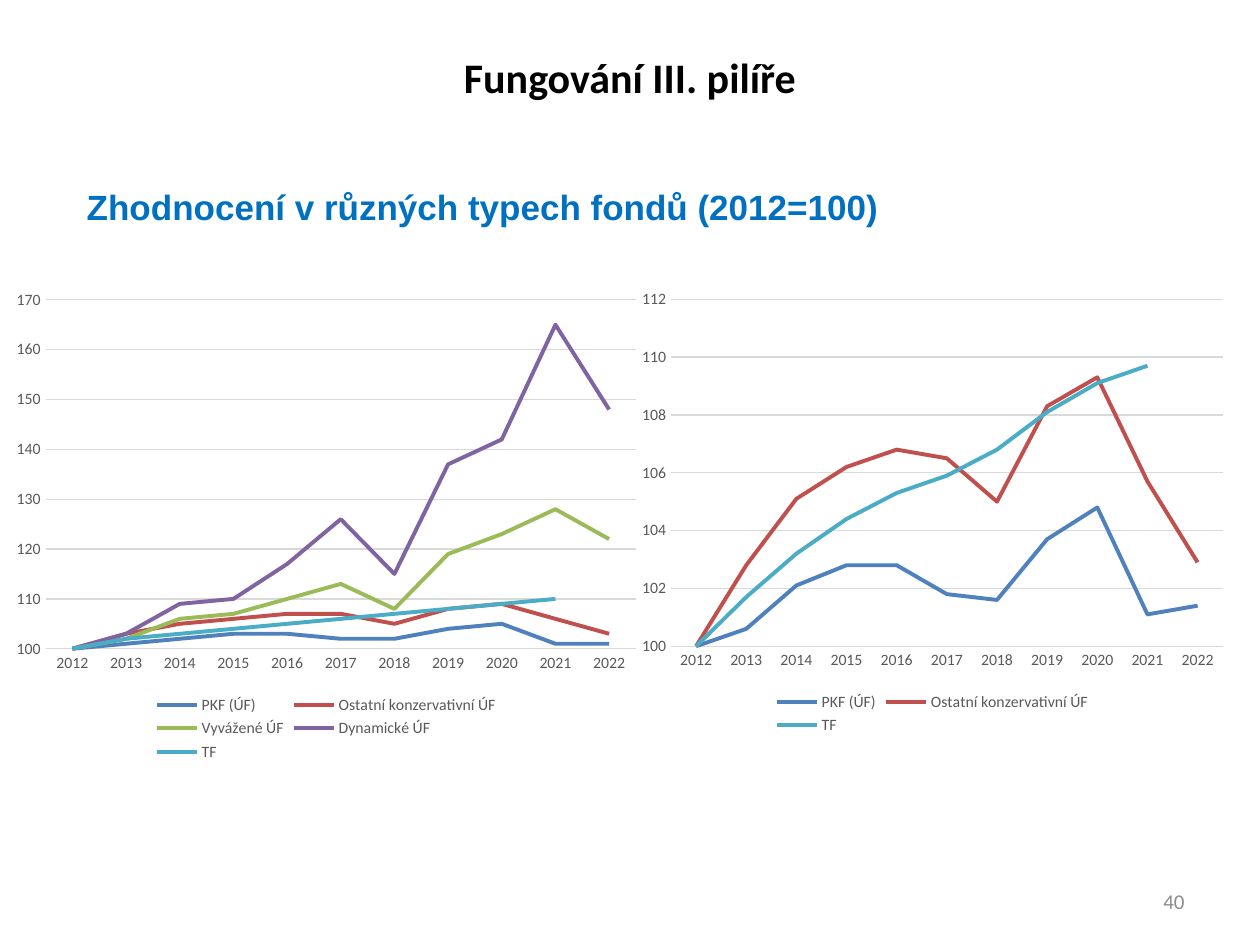
"""Build the slide comparing pension fund returns in two line charts."""
from math import floor

from pptx import Presentation
from pptx.chart.data import CategoryChartData
from pptx.dml.color import RGBColor as RGB
from pptx.enum.chart import XL_CHART_TYPE as CT, XL_LEGEND_POSITION as LP
from pptx.enum.chart import XL_MARKER_STYLE as MS, XL_TICK_MARK as TM
from pptx.enum.text import MSO_ANCHOR as ANCHOR, PP_ALIGN as ALIGN
from pptx.util import Inches, Pt

TITLE = "Fungování III. pilíře"
SUBTITLE = "Zhodnocení v různých typech fondů (2012=100)"
NUMBER = "40"
YEARS = [str(year) for year in range(2012, 2023)]
FUNDS = {
    "PKF (ÚF)": ("4F81BD", [100, 100.6, 102.1, 102.8, 102.8, 101.8, 101.6, 103.7, 104.8, 101.1, 101.4]),
    "Ostatní konzervativní ÚF": ("C0504D", [100, 102.8, 105.1, 106.2, 106.8, 106.5, 105, 108.3, 109.3, 105.7, 102.9]),
    "Vyvážené ÚF": ("9BBB59", [100, 102, 106, 107, 110, 113, 108, 119, 123, 128, 122]),
    "Dynamické ÚF": ("8064A2", [100, 103, 109, 110, 117, 126, 115, 137, 142, 165, 148]),
    "TF": ("4BACC6", [100, 101.7, 103.2, 104.4, 105.3, 105.9, 106.8, 108.1, 109.1, 109.7, None]),
}
CHARTS = [
    {"box": (0.03, 2.23, 5.12, 3.85), "funds": list(FUNDS), "top": 170, "step": 10, "scale": 1},
    {"box": (5, 2.23, 4.8, 3.64), "funds": ["PKF (ÚF)", "Ostatní konzervativní ÚF", "TF"],
     "top": 112, "step": 2, "scale": 10},
]
THEME = {
    "body": "Calibri", "accent_font": "Arial",
    "title": "000000", "accent": "0070C0", "number": "8C8C8C", "label": "595959", "grid": "D9D9D9",
    "title_size": 24, "accent_size": 20, "number_size": 12, "label_size": 9,
    "grid_width": 0.75, "series_width": 2.25,
}


def set_font(font, name, size, color, bold=False):
    font.name, font.size, font.bold = name, Pt(size), bold
    font.color.rgb = RGB.from_string(color)


def set_line(line, color, width):
    line.color.rgb = RGB.from_string(color)
    line.width = Pt(width)


def round_half_up(value, scale):
    return None if value is None else floor(value * scale + 0.5) / scale


def write(sp, text, align, name, size, color, bold=False):
    tf = sp.text_frame
    tf.text, tf.vertical_anchor = text, ANCHOR.MIDDLE
    p = tf.paragraphs[0]
    p.alignment = align
    set_font(p.font, name, size, color, bold)
    return tf


def add_text(s, box, *style):
    return write(s.shapes.add_textbox(*map(Inches, box)), *style)


def add_title(s):
    sp = s.shapes.title
    sp.left, sp.top, sp.width, sp.height = map(Inches, (0.5, 0.3, 9, 1.01))
    tf = write(sp, TITLE, ALIGN.CENTER, THEME["body"], THEME["title_size"], THEME["title"], True)
    tf.margin_bottom = Inches(0.45)


def add_fund_chart(s, box, funds, top, step, scale):
    data = CategoryChartData()
    data.categories = YEARS
    for fund in funds:
        data.add_series(fund, [round_half_up(value, scale) for value in FUNDS[fund][1]])
    chart = s.shapes.add_chart(CT.LINE, *map(Inches, box), data).chart
    chart.has_title = False
    label = THEME["body"], THEME["label_size"], THEME["label"]
    set_font(chart.font, *label)

    chart.has_legend = True
    chart.legend.position, chart.legend.include_in_layout = LP.BOTTOM, False
    set_font(chart.legend.font, *label)

    years, values = chart.category_axis, chart.value_axis
    for axis in (years, values):
        axis.major_tick_mark = axis.minor_tick_mark = TM.NONE
        set_font(axis.tick_labels.font, *label)
    set_line(years.format.line, THEME["grid"], THEME["grid_width"])
    set_line(values.major_gridlines.format.line, THEME["grid"], THEME["grid_width"])
    values.format.line.fill.background()
    values.minimum_scale, values.maximum_scale, values.major_unit = 100, top, step
    values.tick_labels.number_format = "0"
    values.tick_labels.number_format_is_linked = False

    plot = chart.plots[0]
    plot.vary_by_categories = False
    for series in plot.series:
        series.smooth = False
        series.marker.style = MS.NONE
        set_line(series.format.line, FUNDS[series.name][0], THEME["series_width"])


def main():
    prs = Presentation()
    prs.slide_width, prs.slide_height = Inches(10), Inches(7.5)
    s = prs.slides.add_slide(prs.slide_layouts[5])
    add_title(s)
    tf = add_text(s, (7.17, 6.95, 2.33, 0.4), NUMBER, ALIGN.RIGHT,
                  THEME["body"], THEME["number_size"], THEME["number"])
    tf.word_wrap = True
    tf = add_text(s, (0.59, 1.42, 6.54, 0.44), SUBTITLE, ALIGN.LEFT,
                  THEME["accent_font"], THEME["accent_size"], THEME["accent"], True)
    tf.word_wrap = False
    for chart in CHARTS:
        add_fund_chart(s, **chart)
    prs.save("out.pptx")


if __name__ == "__main__":
    main()
